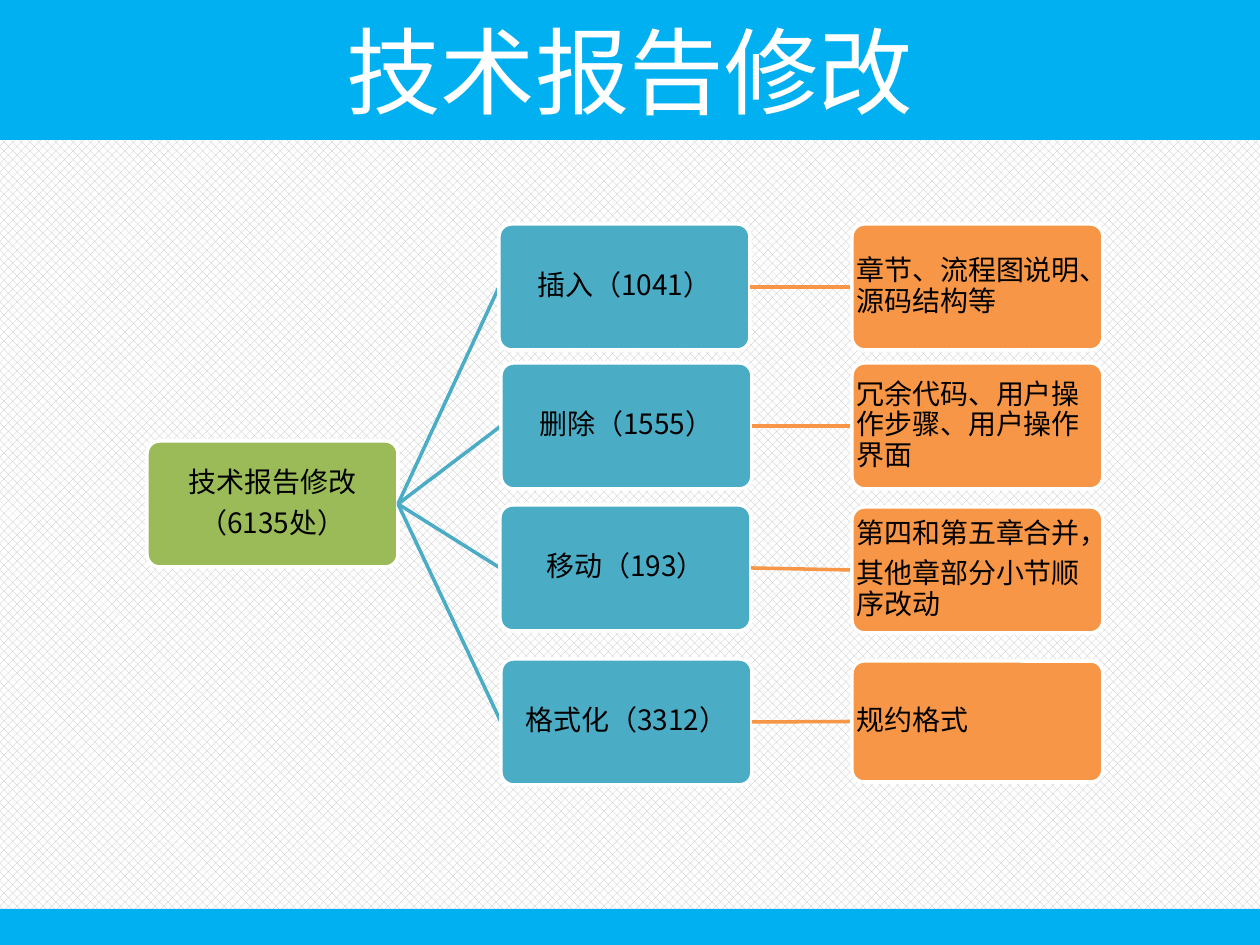
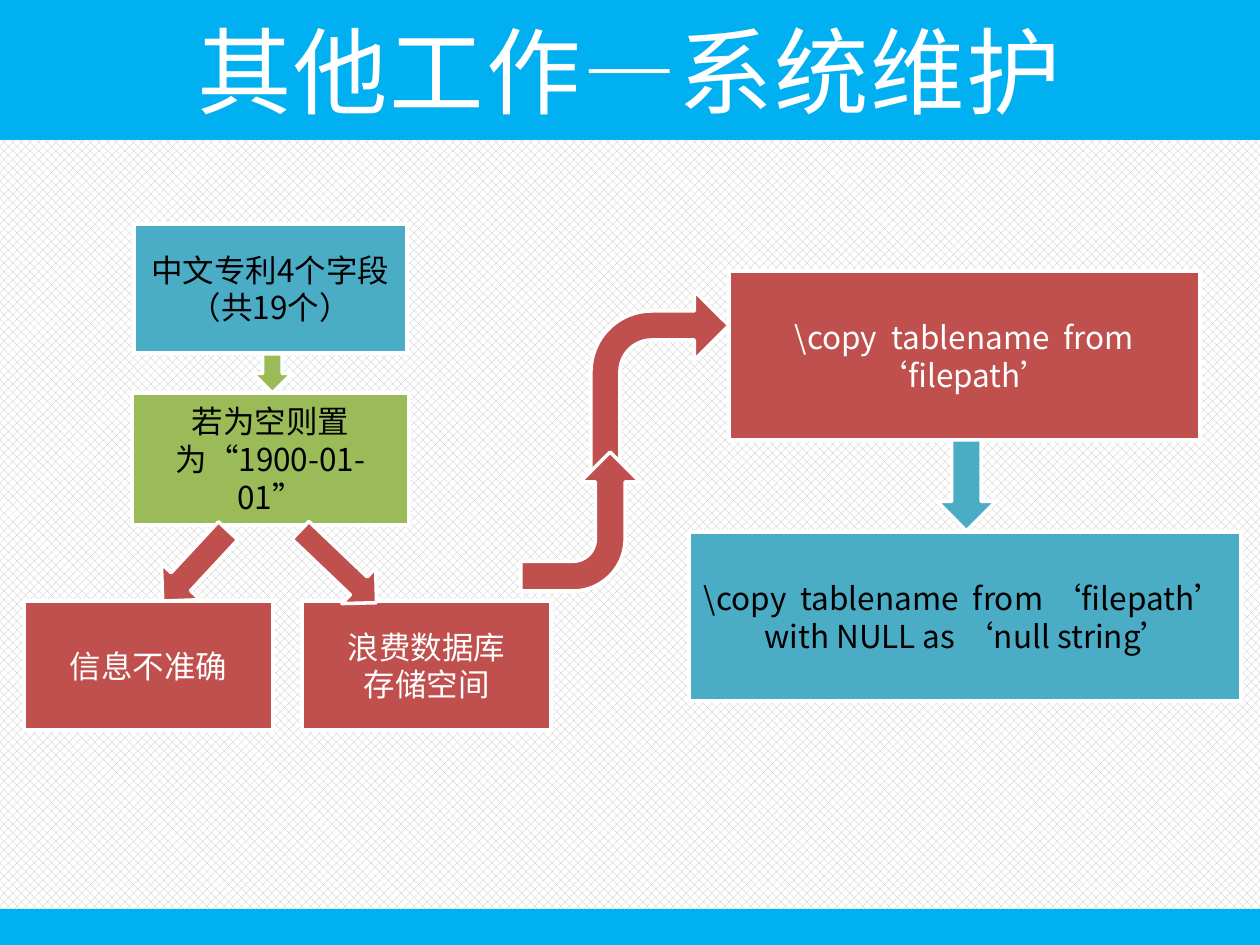
import pptx
import pptx.dml.color
import pptx.enum.dml
import pptx.enum.shapes
import pptx.enum.text
import pptx.oxml.ns
import pptx.util
from lxml import etree

SCALE = 914400 // 126
WIDTH, HEIGHT = 1260, 945
SKY, TEAL, GREEN, RED, ORANGE = "00B0F0", "4BACC6", "9BBB59", "C0504D", "F79646"
WHITE, BLACK, GRAY = "FFFFFF", "000000", "BFBFBF"
TITLE_FONT, BODY_FONT = "Noto Sans CJK JP", "Noto Sans CJK SC"
SHAPE = pptx.enum.shapes.MSO_SHAPE
ALIGN = pptx.enum.text.PP_ALIGN
LEFT_SITE, RIGHT_SITE = 1, 3


def px(n):
    return pptx.util.Emu(n * SCALE)


def rgb(color):
    return pptx.dml.color.RGBColor.from_string(color)


def add_shape(s, kind, box, fill, line=WHITE, weight=2, rotation=0):
    sp = s.shapes.add_shape(kind, *map(px, box))
    sp.shadow.inherit = False
    sp.fill.solid()
    sp.fill.fore_color.rgb = rgb(fill)
    sp.line.color.rgb = rgb(line)
    sp.line.width = pptx.util.Pt(weight)
    sp.rotation = rotation
    return sp


def write(sp, lines, size, color, font=BODY_FONT, align=ALIGN.CENTER):
    tf = sp.text_frame
    tf.word_wrap = True
    tf.vertical_anchor = pptx.enum.text.MSO_ANCHOR.MIDDLE
    tf.text = lines
    for p in tf.paragraphs:
        p.alignment = align
        p.font.size = pptx.util.Pt(size)
        p.font.color.rgb = rgb(color)
        p.font.name = font
        ea = etree.SubElement(p.font._element, pptx.oxml.ns.qn("a:ea"))
        ea.set("typeface", font)
    return tf


def add_slide(prs, title, spacing=0):
    s = prs.slides.add_slide(prs.slide_layouts[6])
    fill = s.background.fill
    fill.patterned()
    fill.pattern = pptx.enum.dml.MSO_PATTERN.PERCENT_50
    fill.fore_color.rgb = rgb(GRAY)
    fill.back_color.rgb = rgb(WHITE)
    band = add_shape(s, SHAPE.RECTANGLE, (0, 0, WIDTH, 139), SKY, SKY, 1.5)
    tf = write(band, title, 54, WHITE, TITLE_FONT)
    if spacing:
        tf.paragraphs[0].font._element.set("spc", str(spacing * 100))
    footer = add_shape(s, SHAPE.RECTANGLE, (0, 909, WIDTH, HEIGHT - 909), SKY)
    footer.line.fill.background()
    return s


def add_node(s, x, y, text, fill, align=ALIGN.CENTER, height=126):
    sp = add_shape(s, SHAPE.ROUNDED_RECTANGLE, (x, y, 251, height), fill)
    sp.adjustments[0] = 0.1
    tf = write(sp, text, 16, BLACK, align=align)
    tf.margin_left = tf.margin_right = tf.margin_top = tf.margin_bottom = px(1)
    for p in tf.paragraphs:
        p.line_spacing = 0.9
        p.space_after = pptx.util.Pt(5.6)
    return sp


def link(s, start, end, color):
    line = s.shapes.add_connector(
        pptx.enum.shapes.MSO_CONNECTOR.STRAIGHT,
        start.left + start.width, start.top + start.height // 2,
        end.left, end.top + end.height // 2)
    line.begin_connect(start, RIGHT_SITE)
    line.end_connect(end, LEFT_SITE)
    line.line.color.rgb = rgb(color)
    line.line.width = pptx.util.Pt(2)
    etree.SubElement(line._element.spPr, pptx.oxml.ns.qn("a:effectLst"))
    end._element.addprevious(line._element)


def add_box(s, box, text, fill, color):
    write(add_shape(s, SHAPE.RECTANGLE, box, fill), text, 18, color)


def report_slide(prs):
    s = add_slide(prs, "技术报告修改")
    root = add_node(s, 147, 441, "技术报告修改\n（6135处）", GREEN)
    branches = [
        (499, 224, "插入（1041）", 224, 126, "章节、流程图说明、源码结构等"),
        (501, 363, "删除（1555）", 363, 126, "冗余代码、用户操作步骤、用户操作界面"),
        (500, 505, "移动（193）", 507, 126, "第四和第五章合并，\n其他章部分小节顺序改动"),
        (501, 659, "格式化（3312）", 661, 121, "规约格式"),
    ]
    for x, y, change, detail_y, detail_height, detail in branches:
        node = add_node(s, x, y, change, TEAL)
        link(s, root, node, TEAL)
        leaf = add_node(s, 852, detail_y, detail, ORANGE, ALIGN.LEFT, detail_height)
        link(s, node, leaf, ORANGE)


def maintenance_slide(prs):
    s = add_slide(prs, "其他工作—系统维护", spacing=1)
    boxes = [
        ((134, 224, 273, 129), "中文专利4个字段（共19个）", TEAL, BLACK),
        ((132, 393, 277, 132), "若为空则置为“1900-01-01”", GREEN, BLACK),
        ((24, 601, 249, 129), "信息不准确", RED, WHITE),
        ((302, 601, 249, 129), "浪费数据库\n存储空间", RED, WHITE),
        ((729, 271, 471, 169), "\\copy  tablename  from ‘filepath’", RED, WHITE),
        ((689, 532, 552, 169),
         "\\copy  tablename  from ‘filepath’  with NULL as ‘null string’", TEAL, BLACK),
    ]
    for box in boxes:
        add_box(s, *box)
    arrows = [
        ((937, 440, 59, 91), TEAL, 0),
        ((253, 354, 39, 39), GREEN, 0),
        ((169, 518, 53, 96), RED, 42.9),
        ((314, 514, 49, 105), RED, 313.6),
    ]
    for box, fill, rotation in arrows:
        add_shape(s, SHAPE.DOWN_ARROW, box, fill, rotation=rotation)
    upper = add_shape(s, SHAPE.BENT_ARROW, (591, 291, 138, 194), RED)
    for i, value in enumerate((0.21, 0.25, 0.25, 0.44)):
        upper.adjustments[i] = value
    lower = add_shape(s, SHAPE.BENT_ARROW, (511, 462, 139, 119), RED, rotation=90)
    lower._element.spPr.xfrm.set("flipH", "1")


def main():
    prs = pptx.Presentation()
    prs.slide_width, prs.slide_height = px(WIDTH), px(HEIGHT)
    report_slide(prs)
    maintenance_slide(prs)
    prs.save("out.pptx")


main()
